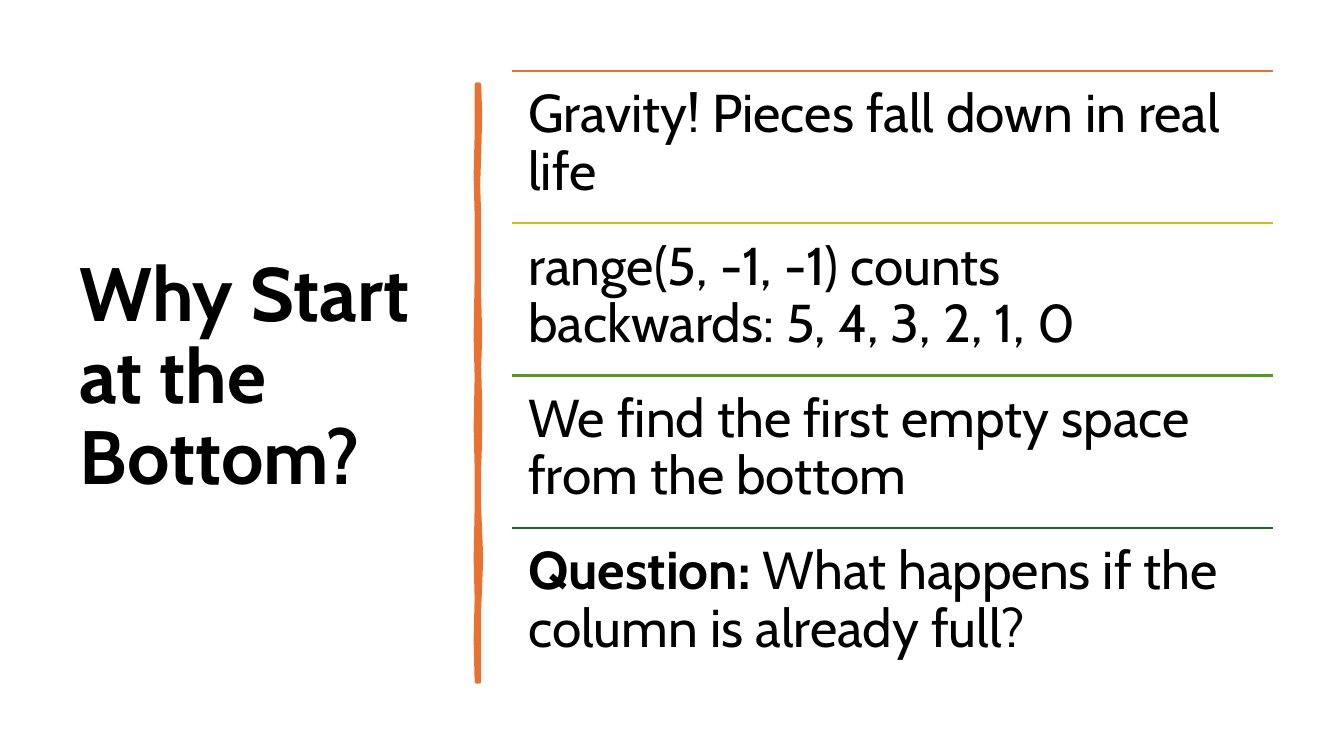
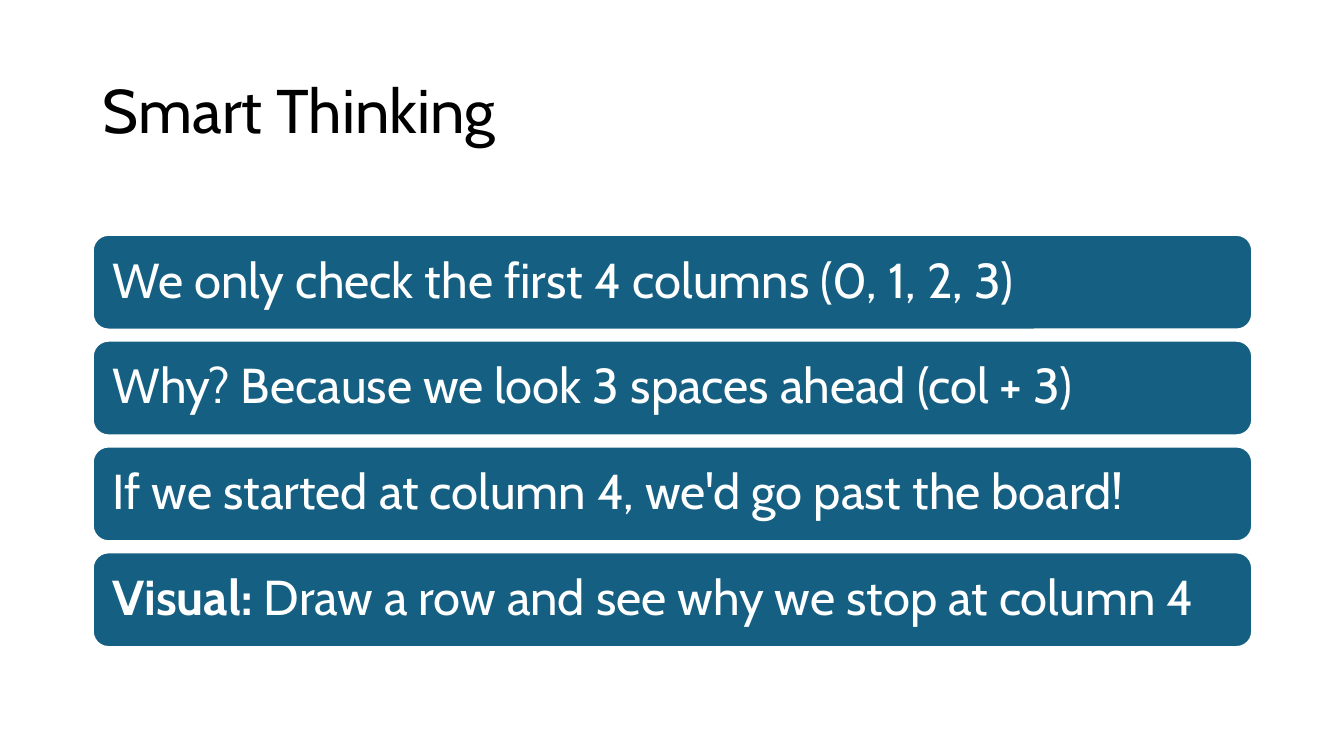
from pptx import Presentation
from pptx.dml.color import RGBColor
from pptx.enum.shapes import MSO_CONNECTOR, MSO_SHAPE
from pptx.enum.text import MSO_ANCHOR, MSO_AUTO_SIZE, PP_ALIGN
from pptx.oxml import parse_xml
from pptx.oxml.ns import nsdecls
from pptx.util import Inches, Pt

FONT = "Cabin"
COLORS = {
    "text": "000000",
    "white": "FFFFFF",
    "orange": "E97132",
    "yellow": "CBC11E",
    "lime": "56991D",
    "green": "196B24",
    "blue": "156082",
}

# Each item is a list of (text, bold) runs
REASONS = [
    [("Gravity! Pieces fall down in real life", False)],
    [("range(5, -1, -1) counts backwards: 5, 4, 3, 2, 1, 0", False)],
    [("We find the first empty space from the bottom", False)],
    [("Question:", True), (" What happens if the column is already full?", False)],
]
RULE_COLORS = ["orange", "yellow", "lime", "green"]
THOUGHTS = [
    [("We only check the first 4 columns (0, 1, 2, 3)", False)],
    [("Why? Because we look 3 spaces ahead (col + 3)", False)],
    [("If we started at column 4, we'd go past the board!", False)],
    [("Visual:", True), (" Draw a row and see why we stop at column 4", False)],
]

# Brush stroke edges: (sideways offset, distance down), in inches
STROKE_RIGHT = [(0.02, 0), (0.03, 0.3), (0.02, 0.7), (0.01, 1.0), (0.02, 1.3),
                (0.02, 2.1), (0.03, 2.5), (0.02, 2.8), (0.03, 3.2), (0.03, 3.5),
                (0.02, 3.8), (0.02, 4.2), (0.04, 4.7), (0.02, 5.2), (0.02, 5.92)]
STROKE_LEFT = [(0, 5.92), (-0.01, 5.5), (0, 5.1), (-0.01, 4.7), (0, 4.2),
               (0, 3.8), (-0.01, 3.4), (0, 2.9), (-0.01, 2.5), (0, 1.9),
               (0, 1.3), (-0.01, 0.9), (0, 0.5), (0, 0)]


def color(name):
    return RGBColor.from_string(COLORS[name])


def set_text(shape, runs, size, color_name, inset, anchor):
    """Fill a shape's text frame with left-aligned, wrapped runs."""
    frame = shape.text_frame
    frame_format = {
        "word_wrap": True,
        "auto_size": MSO_AUTO_SIZE.NONE,
        "vertical_anchor": anchor,
        "margin_left": Inches(inset),
        "margin_right": Inches(inset),
        "margin_top": Inches(min(inset, 0.16)),
        "margin_bottom": Inches(min(inset, 0.16)),
    }
    for name, value in frame_format.items():
        setattr(frame, name, value)
    paragraph = frame.paragraphs[0]
    paragraph.alignment = PP_ALIGN.LEFT
    paragraph.line_spacing = 0.9
    for text, bold in runs:
        run = paragraph.add_run()
        run.text = text
        for name, value in {"name": FONT, "size": Pt(size), "bold": bold}.items():
            setattr(run.font, name, value)
        run.font.color.rgb = color(color_name)


def add_titled_slide(presentation, title, box, size, bold=False):
    slide = presentation.slides.add_slide(presentation.slide_layouts[5])
    shape = slide.shapes.title
    for name, value in zip(("left", "top", "width", "height"), box):
        setattr(shape, name, Inches(value))
    set_text(shape, [(title, bold)], size, "text", 0.1, MSO_ANCHOR.MIDDLE)
    return slide


def add_brush_stroke(slide, left, top):
    points = [(Inches(left + x), Inches(top + y))
              for x, y in STROKE_RIGHT + STROKE_LEFT]
    builder = slide.shapes.build_freeform(*points[0])
    builder.add_line_segments(points[1:], close=True)
    stroke = builder.convert_to_shape()
    stroke.shadow.inherit = False
    stroke.fill.solid()
    stroke.fill.fore_color.rgb = color("orange")
    stroke.line.color.rgb = color("orange")
    stroke.line.width = Pt(3.25)
    stroke.line._get_or_add_ln().append(parse_xml(f"<a:round {nsdecls('a')}/>"))


def add_rule(slide, left, top, width, color_name):
    rule = slide.shapes.add_connector(
        MSO_CONNECTOR.STRAIGHT, Inches(left), Inches(top),
        Inches(left + width), Inches(top))
    rule.line.color.rgb = color(color_name)
    rule.line.width = Pt(1.5)
    rule._element.spPr.append(parse_xml(f"<a:effectLst {nsdecls('a')}/>"))


def add_ruled_list(slide, items, box):
    """Equal rows, each with a coloured rule along its top."""
    left, top, width, height = box
    row_height = height / len(items)
    for index, (runs, color_name) in enumerate(zip(items, RULE_COLORS)):
        row_top = top + index * row_height
        add_rule(slide, left, row_top, width, color_name)
        row = slide.shapes.add_textbox(
            Inches(left), Inches(row_top), Inches(width), Inches(row_height))
        set_text(row, runs, 38, "text", 0.16, MSO_ANCHOR.TOP)


def add_card_list(slide, items, box, gap):
    """Equal rounded cards stacked with a fixed gap."""
    left, top, width, height = box
    card_height = (height - gap * (len(items) - 1)) / len(items)
    for index, runs in enumerate(items):
        card = slide.shapes.add_shape(
            MSO_SHAPE.ROUNDED_RECTANGLE, Inches(left),
            Inches(top + index * (card_height + gap)),
            Inches(width), Inches(card_height))
        card.shadow.inherit = False
        card.fill.solid()
        card.fill.fore_color.rgb = color("blue")
        card.line.color.rgb = color("white")
        card.line.width = Pt(1.5)
        # The preset's own text area already adds about 0.05 inch
        set_text(card, runs, 35, "white", 0.15, MSO_ANCHOR.MIDDLE)


def main():
    presentation = Presentation()
    presentation.slide_width = Inches(13.33)
    presentation.slide_height = Inches(7.5)

    # Title on the left, ruled list on the right
    slide = add_titled_slide(presentation, "Why Start at the Bottom?",
                             (0.69, 0.7, 3.74, 6.11), 54, bold=True)
    add_brush_stroke(slide, 4.73, 0.84)
    add_ruled_list(slide, REASONS, (5.08, 0.7, 7.55, 6.05))

    # Title on top, cards below
    slide = add_titled_slide(presentation, "Smart Thinking",
                             (0.92, 0.4, 11.5, 1.45), 44)
    add_card_list(slide, THOUGHTS, (0.92, 2.33, 11.5, 4.09), 0.11)

    presentation.save("out.pptx")


if __name__ == "__main__":
    main()
